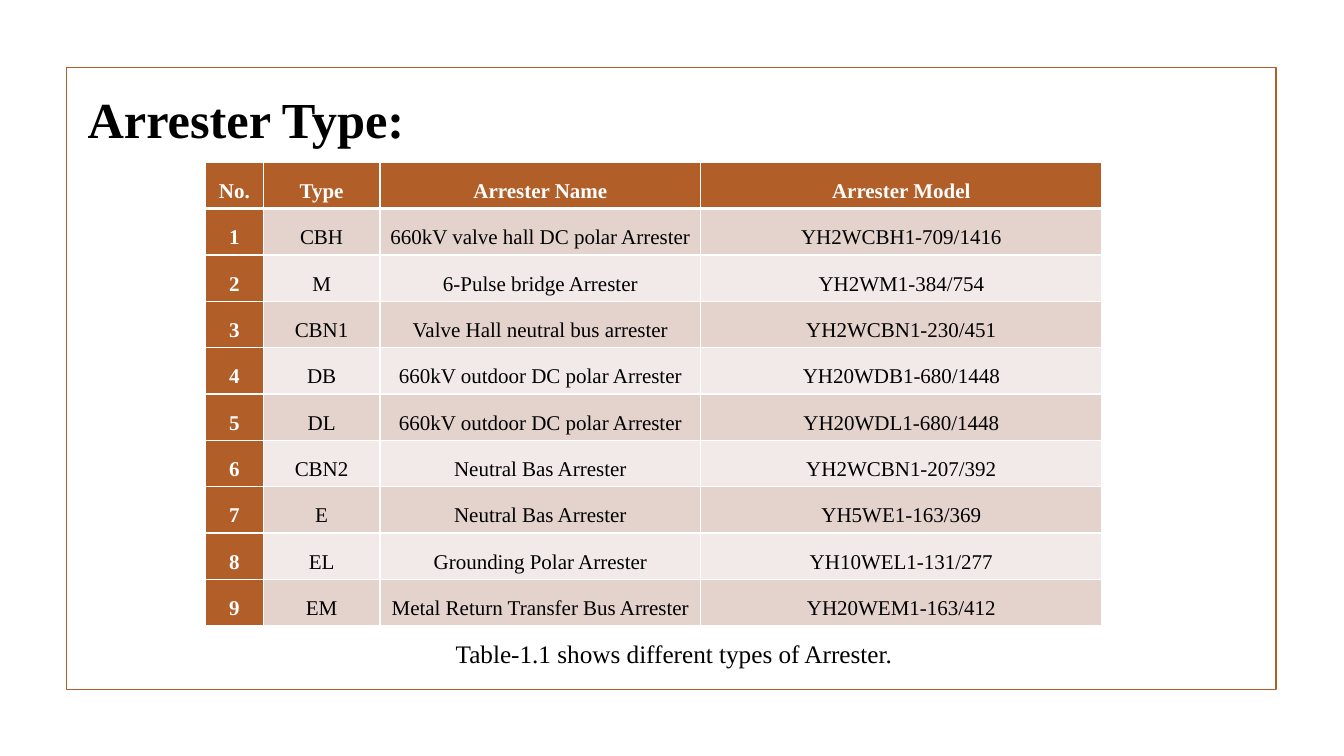
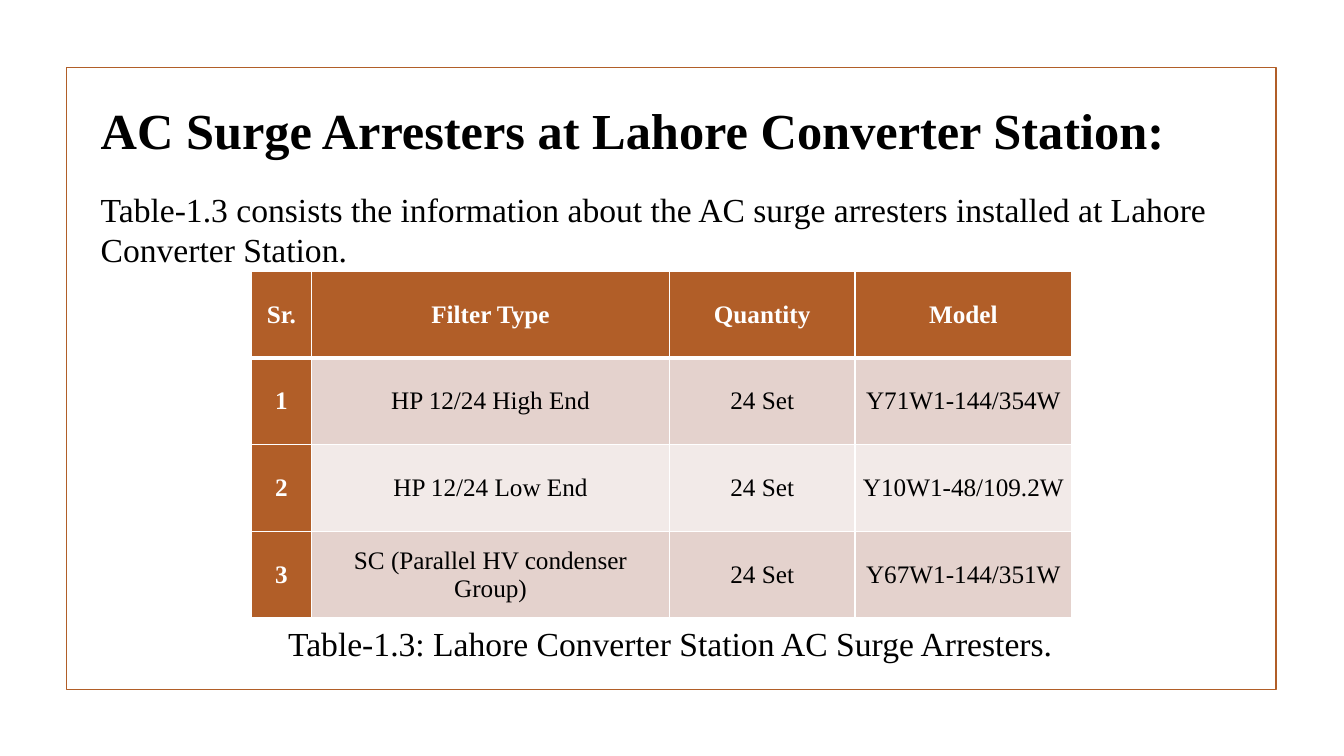
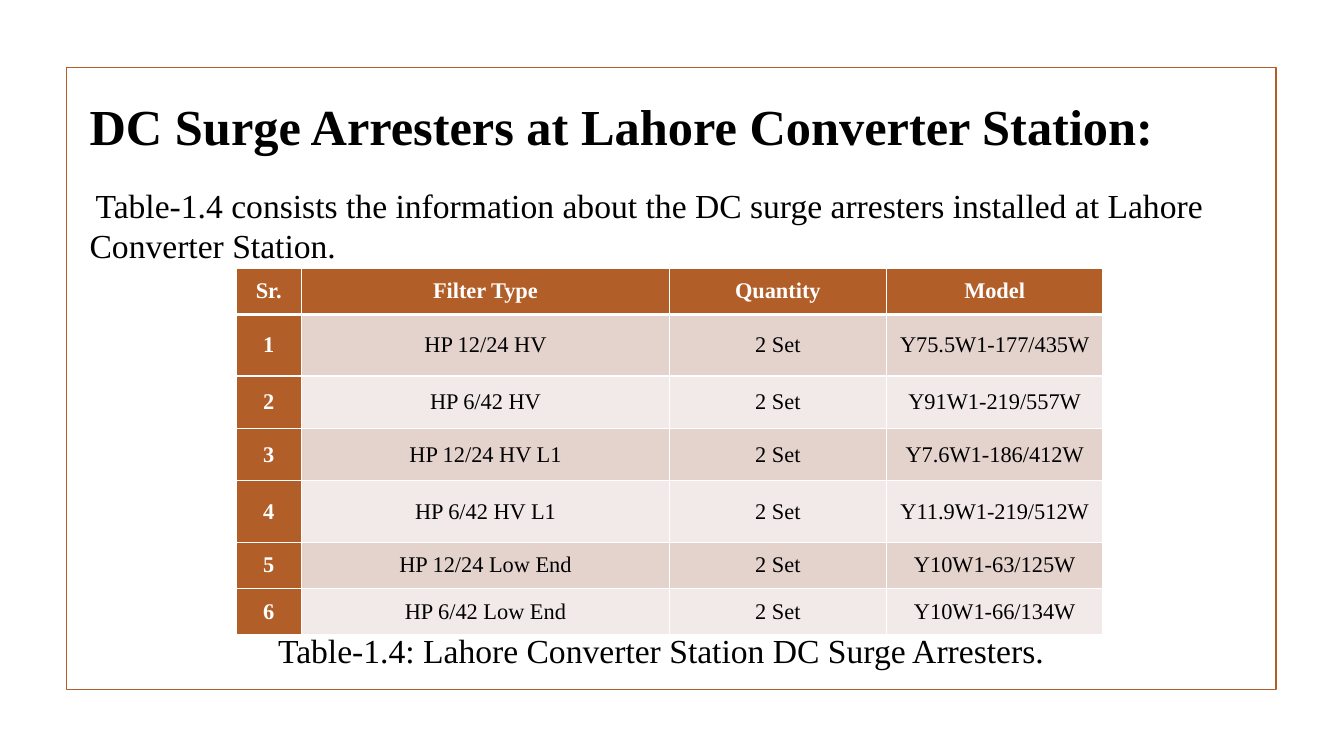
import dataclasses
import typing

import pptx
import pptx.dml.color
import pptx.enum.shapes
import pptx.enum.text
import pptx.oxml
import pptx.oxml.ns
import pptx.util

Inches = pptx.util.Inches
Align = pptx.enum.text.PP_ALIGN

COLOURS = {
    "accent": "B15E28",
    "band_dark": "E4D2CD",
    "band_light": "F2EAE8",
    "ink": "000000",
    "paper": "FFFFFF",
}
FONT = "Times New Roman"
CELL_FORMAT = {
    "margin_left": Inches(0.07),
    "margin_right": Inches(0.07),
    "margin_top": 0,
    "margin_bottom": 0,
    "vertical_anchor": pptx.enum.text.MSO_ANCHOR.MIDDLE,
}


@dataclasses.dataclass
class Line:
    text: str
    size: float
    bold: bool = False
    colour: str = "ink"
    align: typing.Any = Align.LEFT
    spacing: float = 1.0
    space_before: float = 0
    first_indent: float = 0


@dataclasses.dataclass
class TextBlock:
    left: float
    top: float
    width: float
    height: float
    lines: list[Line]


@dataclasses.dataclass
class ArresterTable:
    left: float
    top: float
    columns: list[float]
    row_heights: list[float]
    header: list[str]
    entries: list[tuple[str, ...]]
    size: float
    spacing: float = 1.0


@dataclasses.dataclass
class SlideContent:
    heading: TextBlock
    table: ArresterTable
    caption: TextBlock


def rgb(name: str) -> pptx.dml.color.RGBColor:
    return pptx.dml.color.RGBColor.from_string(COLOURS[name])


def heading_line(text: str) -> Line:
    return Line(text, 36, bold=True)


def intro_line(text: str, first_indent: float = 0) -> Line:
    return Line(text, 24, space_before=21, first_indent=first_indent)


def write_line(paragraph: typing.Any, line: Line) -> None:
    paragraph.alignment = line.align
    paragraph.line_spacing = line.spacing
    if line.space_before:
        paragraph.space_before = pptx.util.Pt(line.space_before)
    if line.first_indent:
        paragraph._p.get_or_add_pPr().set("indent", str(Inches(line.first_indent)))
    run = paragraph.add_run()
    run.text = line.text
    font_format = {"name": FONT, "size": pptx.util.Pt(line.size), "bold": line.bold}
    for attribute, value in font_format.items():
        setattr(run.font, attribute, value)
    run.font.color.rgb = rgb(line.colour)


def draw_text(slide: typing.Any, block: TextBlock) -> None:
    box = slide.shapes.add_textbox(
        Inches(block.left), Inches(block.top), Inches(block.width), Inches(block.height)
    )
    frame = box.text_frame
    frame.word_wrap = True
    frame.auto_size = pptx.enum.text.MSO_AUTO_SIZE.SHAPE_TO_FIT_TEXT
    for index, line in enumerate(block.lines):
        write_line(frame.add_paragraph() if index else frame.paragraphs[0], line)


def draw_border(slide: typing.Any) -> None:
    border = slide.shapes.add_shape(
        pptx.enum.shapes.MSO_SHAPE.RECTANGLE,
        Inches(0.66), Inches(0.67), Inches(12), Inches(6.17),
    )
    border.shadow.inherit = False
    border.fill.background()
    border.line.color.rgb = rgb("accent")
    border.line.width = pptx.util.Pt(1.25)


def rule_cell(cell: typing.Any, row: int) -> None:
    """White rules round a cell, heavier between header and body."""
    weights = {"L": 1, "R": 1, "T": 3 if row == 1 else 1, "B": 3 if row == 0 else 1}
    properties = cell._tc.get_or_add_tcPr()
    for position, (side, weight) in enumerate(weights.items()):
        rule = pptx.oxml.parse_xml(
            f'<a:ln{side} {pptx.oxml.ns.nsdecls("a")} w="{pptx.util.Pt(weight)}">'
            f'<a:solidFill><a:srgbClr val="{COLOURS["paper"]}"/></a:solidFill>'
            f"</a:ln{side}>"
        )
        properties.insert(position, rule)


def draw_table(slide: typing.Any, arresters: ArresterTable) -> None:
    # Number the entries below the header
    rows = [tuple(arresters.header)] + [
        (str(number), *entry) for number, entry in enumerate(arresters.entries, 1)
    ]
    grid = slide.shapes.add_table(
        len(rows), len(arresters.columns),
        Inches(arresters.left), Inches(arresters.top),
        Inches(sum(arresters.columns)), Inches(sum(arresters.row_heights)),
    ).table
    for column, width in zip(grid.columns, arresters.columns):
        column.width = Inches(width)
    for grid_row, height in zip(grid.rows, arresters.row_heights):
        grid_row.height = Inches(height)

    # Header row and number column take the accent, the rest is banded
    for row, texts in enumerate(rows):
        for column, text in enumerate(texts):
            cell = grid.cell(row, column)
            strong = row == 0 or column == 0
            band = "band_dark" if row % 2 else "band_light"
            for attribute, value in CELL_FORMAT.items():
                setattr(cell, attribute, value)
            cell.fill.solid()
            cell.fill.fore_color.rgb = rgb("accent" if strong else band)
            rule_cell(cell, row)
            write_line(
                cell.text_frame.paragraphs[0],
                Line(text, arresters.size, strong, "paper" if strong else "ink",
                     Align.CENTER, arresters.spacing),
            )


FILTER_HEADER = ["Sr.", "Filter Type", "Quantity", "Model"]

SLIDES = [
    # Arrester types
    SlideContent(
        TextBlock(0.77, 0.82, 11.76, 1.31, [heading_line("Arrester Type:")]),
        ArresterTable(
            2.04, 1.61, [0.57, 1.16, 3.18, 3.98], [0.46] * 10,
            ["No.", "Type", "Arrester Name", "Arrester Model"],
            [
                ("CBH", "660kV valve hall DC polar Arrester", "YH2WCBH1-709/1416"),
                ("M", "6-Pulse bridge Arrester", "YH2WM1-384/754"),
                ("CBN1", "Valve Hall neutral bus arrester", "YH2WCBN1-230/451"),
                ("DB", "660kV outdoor DC polar Arrester", "YH20WDB1-680/1448"),
                ("DL", "660kV outdoor DC polar Arrester", "YH20WDL1-680/1448"),
                ("CBN2", "Neutral Bas Arrester", "YH2WCBN1-207/392"),
                ("E", "Neutral Bas Arrester", "YH5WE1-163/369"),
                ("EL", "Grounding Polar Arrester", "YH10WEL1-131/277"),
                ("EM", "Metal Return Transfer Bus Arrester", "YH20WEM1-163/412"),
            ],
            size=15, spacing=1.5,
        ),
        TextBlock(4.39, 6.28, 4.59, 0.4, [
            Line("Table-1.1 shows different types of Arrester.", 18, align=Align.CENTER),
        ]),
    ),
    # AC surge arresters
    SlideContent(
        TextBlock(0.9, 0.93, 11.59, 2.73, [
            heading_line("AC Surge Arresters at Lahore Converter Station:"),
            intro_line("Table-1.3 consists the information about the AC surge arresters "
                       "installed at Lahore Converter Station."),
        ]),
        ArresterTable(
            2.49, 2.69, [0.6, 3.55, 1.84, 2.15], [0.86] * 4, FILTER_HEADER,
            [
                ("HP 12/24 High End", "24 Set", "Y71W1-144/354W"),
                ("HP 12/24 Low End", "24 Set", "Y10W1-48/109.2W"),
                ("SC (Parallel HV condenser Group)", "24 Set", "Y67W1-144/351W"),
            ],
            size=18,
        ),
        TextBlock(2.76, 6.13, 7.87, 0.5, [
            Line("Table-1.3: Lahore Converter Station AC Surge Arresters.", 24),
        ]),
    ),
    # DC surge arresters
    SlideContent(
        TextBlock(0.79, 0.89, 11.7, 2.12, [
            heading_line("DC Surge Arresters at Lahore Converter Station:"),
            intro_line("Table-1.4 consists the information about the DC surge arresters "
                       "installed at Lahore Converter Station.", first_indent=0.06),
        ]),
        ArresterTable(
            2.34, 2.66, [0.65, 3.65, 2.15, 2.15],
            [0.46, 0.61, 0.52, 0.52, 0.61, 0.46, 0.46], FILTER_HEADER,
            [
                ("HP 12/24 HV", "2 Set", "Y75.5W1-177/435W"),
                ("HP 6/42 HV", "2 Set", "Y91W1-219/557W"),
                ("HP 12/24 HV L1", "2 Set", "Y7.6W1-186/412W"),
                ("HP 6/42 HV L1", "2 Set", "Y11.9W1-219/512W"),
                ("HP 12/24 Low End", "2 Set", "Y10W1-63/125W"),
                ("HP 6/42 Low End", "2 Set", "Y10W1-66/134W"),
            ],
            size=16,
        ),
        TextBlock(2.66, 6.2, 7.96, 0.5, [
            Line("Table-1.4: Lahore Converter Station DC Surge Arresters.", 24),
        ]),
    ),
]


def main() -> None:
    deck = pptx.Presentation()
    deck.slide_width = Inches(13.33)
    deck.slide_height = Inches(7.5)
    blank = deck.slide_layouts[6]
    for content in SLIDES:
        slide = deck.slides.add_slide(blank)
        draw_border(slide)
        draw_text(slide, content.heading)
        draw_table(slide, content.table)
        draw_text(slide, content.caption)
    deck.save("out.pptx")


if __name__ == "__main__":
    main()
